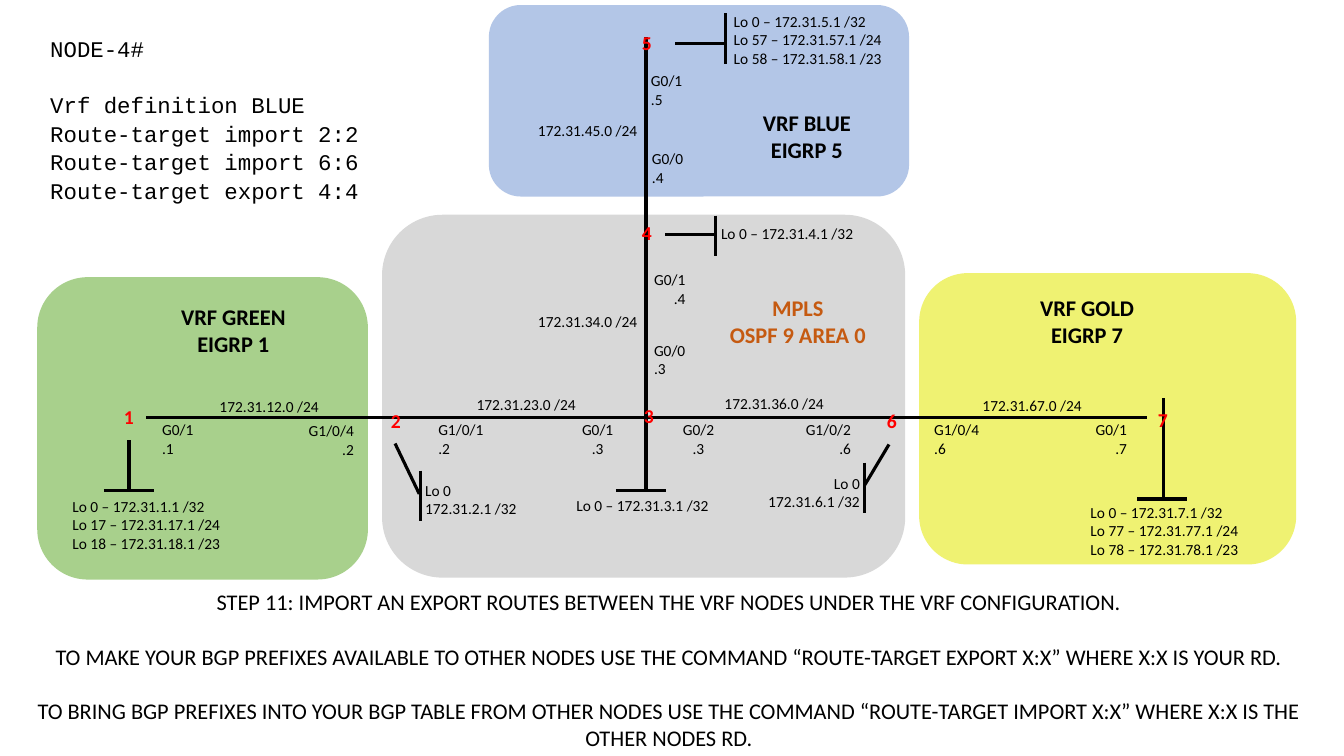
"""Build the slide on route targets between the VRF nodes."""
import pptx
import pptx.util
import pptx.dml.color
import pptx.enum.shapes
import pptx.enum.text
import lxml.etree

Pt = pptx.util.Pt
ALIGN = pptx.enum.text.PP_ALIGN
L, C, R = ALIGN.LEFT, ALIGN.CENTER, ALIGN.RIGHT

THEME = {
    "blue": "B3C6E7", "gold": "EFF272", "green": "A8D08C", "gray": "D8D8D8",
    "black": "000000", "red": "FF0000", "rust": "C55A11",
    "sans": "Calibri", "mono": "Courier New",
    "small": 11, "node": 14, "large": 16, "line": 2.25,
}

ZONES = [
    ("blue", 349.2, 3.6, 300.2, 136.8),
    ("gold", 656.6, 195.1, 269.3, 208.1),
    ("green", 26.6, 198, 236.2, 216),
    ("gray", 272.9, 153.4, 373.7, 259.2),
]

LINKS = [
    (461.5, 350.6, 461.5, 26.6),
    (104.4, 298.1, 819.4, 298.1),
    (830.9, 356.4, 830.9, 284.4),
    (475.2, 167.8, 511.2, 167.8),
    (92.2, 314.6, 92.2, 350.6),
    (518.4, 31, 482.4, 31),
    (282.2, 316.8, 299.5, 352.8),
    (635, 317.5, 617.8, 346.3),
]

FLAT_BARS = [(92.2, 350.6), (830.2, 356.4), (457.9, 350.6)]
TALL_BARS = [(518.4, 27.4, 36), (511.2, 168.5, 28.8),
             (300.2, 354.2, 36), (617.8, 348.5, 36)]
BAR = 36

NODES = [("1", 81.4, 285.8), ("2", 272.2, 288.7), ("3", 452.9, 285.1),
         ("4", 451.4, 154.1), ("5", 451.4, 18.7), ("6", 626.4, 288.7),
         ("7", 820.1, 288)]
NODE_WIDE = 21.6

NETS = [("172.31.12.0 /24", 135.4, 280.1), ("172.31.23.0 /24", 319, 278.6),
        ("172.31.34.0 /24", 362.9, 219.6), ("172.31.36.0 /24", 496.1, 277.9),
        ("172.31.45.0 /24", 362.9, 82.8), ("172.31.67.0 /24", 680.4, 279.4)]
NET_WIDE = 113.8

PORTS = [
    ("G0/0", ".4", 458.6, 103, 175, L),
    ("G0/1", ".4", 457.9, 189.4, 38.9, R),
    ("G0/1", ".5", 457.9, 47.5, 44.6, L),
    ("G0/0", ".3", 460.1, 239.8, 54.7, L),
    ("G0/1", ".1", 108.7, 296.6, 54.7, L),
    ("G1/0/4", ".2", 205.2, 297.4, 54.7, R),
    ("G1/0/1", ".2", 306, 296.6, 77, L),
    ("G0/1", ".3", 399.6, 296.6, 54.7, C),
    ("G0/2", ".3", 471.6, 296.6, 54.7, C),
    ("G1/0/2", ".6", 535, 296.6, 79.9, R),
    ("G1/0/4", ".6", 660.2, 296.6, 54.7, L),
    ("G0/1", ".7", 757.4, 296.6, 54.7, R),
]

LOOPS = [
    (["Lo 0 – 172.31.1.1 /32", "Lo 17 – 172.31.17.1 /24",
      "Lo 18 – 172.31.18.1 /23"], 44.6, 351.4, 215.3, L),
    (["Lo 0", "172.31.2.1 /32"], 296.6, 339.8, 84.2, L),
    (["Lo 0 – 172.31.3.1 /32"], 404.6, 350.6, 215.3, L),
    (["Lo 0 – 172.31.4.1 /32"], 500.4, 156.2, 123.8, C),
    (["Lo 0 – 172.31.5.1 /32", "Lo 57 – 172.31.57.1 /24",
      "Lo 58 – 172.31.58.1 /23"], 517, 5, 215.3, L),
    (["Lo 0", "172.31.6.1 /32"], 537.1, 334.8, 84.2, R),
    (["Lo 0 – 172.31.7.1 /32", "Lo 77 – 172.31.77.1 /24",
      "Lo 78 – 172.31.78.1 /23"], 771.8, 355.7, 215.3, L),
]

HEADS = [
    (["VRF GREEN", "EIGRP 1"], 121.7, 213.1, 90, "black"),
    (["VRF BLUE", "EIGRP 5"], 537.1, 74.2, 78.5, "black"),
    (["VRF GOLD", "EIGRP 7"], 735.1, 206.6, 82.8, "black"),
    (["MPLS", "OSPF 9 AREA 0"], 513.4, 206.6, 113, "rust"),
]

STEPS = [
    "STEP 11: IMPORT AN EXPORT ROUTES BETWEEN THE VRF NODES UNDER THE VRF CONFIGURATION.",
    "TO MAKE YOUR BGP PREFIXES AVAILABLE TO OTHER NODES USE THE COMMAND “ROUTE-TARGET EXPORT X:X” WHERE X:X IS YOUR RD.",
    "TO BRING BGP PREFIXES INTO YOUR BGP TABLE FROM OTHER NODES USE THE COMMAND “ROUTE-TARGET IMPORT X:X” WHERE X:X IS THE OTHER NODES RD.",
]
CODE = ["NODE-4#", "Vrf definition BLUE", "Route-target import 2:2",
        "Route-target import 6:6", "Route-target export 4:4"]


def tint(name):
    return pptx.dml.color.RGBColor.from_string(THEME[name])


def add_zone(slide, hue, x, y, wide, high):
    kind = pptx.enum.shapes.MSO_SHAPE.ROUNDED_RECTANGLE
    zone = slide.shapes.add_shape(kind, Pt(x), Pt(y), Pt(wide), Pt(high))
    zone.shadow.inherit = False
    zone.fill.solid()
    zone.fill.fore_color.rgb = tint(hue)
    zone.line.fill.background()


def add_line(slide, *ends):
    kind = pptx.enum.shapes.MSO_CONNECTOR.STRAIGHT
    line = slide.shapes.add_connector(kind, *[Pt(end) for end in ends])
    line.line.color.rgb = tint("black")
    line.line.width = Pt(THEME["line"])
    tag = pptx.oxml.ns.qn("a:effectLst")
    lxml.etree.SubElement(line._element.spPr, tag)


def add_text(slide, lines, x, y, wide, align=L, size="small", hue="black",
             bold=False, face="sans", gaps=(), pitch=1.0):
    points = THEME[size]
    step = points * 1.22
    high = 7.2 + step * (len(lines) + len(gaps))
    box = slide.shapes.add_textbox(Pt(x), Pt(y), Pt(wide), Pt(high))
    frame = box.text_frame
    frame.word_wrap = True
    frame.auto_size = pptx.enum.text.MSO_AUTO_SIZE.SHAPE_TO_FIT_TEXT
    frame.text = "\n".join(lines)
    for spot, para in enumerate(frame.paragraphs):
        para.alignment = align
        para.line_spacing = pitch
        if spot in gaps:
            para.space_before = Pt(round(step, 1))
        for run in para.runs:
            run.font.name = THEME[face]
            run.font.size = Pt(points)
            run.font.bold = bold
            run.font.color.rgb = tint(hue)


def main():
    deck = pptx.Presentation()
    deck.slide_width, deck.slide_height = Pt(960), Pt(540)
    slide = deck.slides.add_slide(deck.slide_layouts[6])
    for zone in ZONES:
        add_zone(slide, *zone)
    for link in LINKS:
        add_line(slide, *link)
    for x, y in FLAT_BARS:
        add_line(slide, x - BAR / 2, y, x + BAR / 2, y)
    for x, y, high in TALL_BARS:
        add_line(slide, x, y - high / 2, x, y + high / 2)
    for port, host, x, y, wide, align in PORTS:
        add_text(slide, [port, host], x, y, wide, align)
    for net, x, y in NETS:
        add_text(slide, [net], x, y, NET_WIDE, C)
    for node, x, y in NODES:
        add_text(slide, [node], x, y, NODE_WIDE, L, "node", "red", True)
    for loop in LOOPS:
        add_text(slide, *loop)
    for lines, x, y, wide, hue in HEADS:
        add_text(slide, lines, x, y, wide, C, "large", hue, True)
    add_text(slide, STEPS, 2.2, 416.9, 951.1, C, "large", gaps=(1, 2))
    add_text(slide, CODE, 28.8, 20.2, 238.3, L, "large", face="mono",
             gaps=(1,), pitch=1.07)
    deck.save("out.pptx")


if __name__ == "__main__":
    main()
